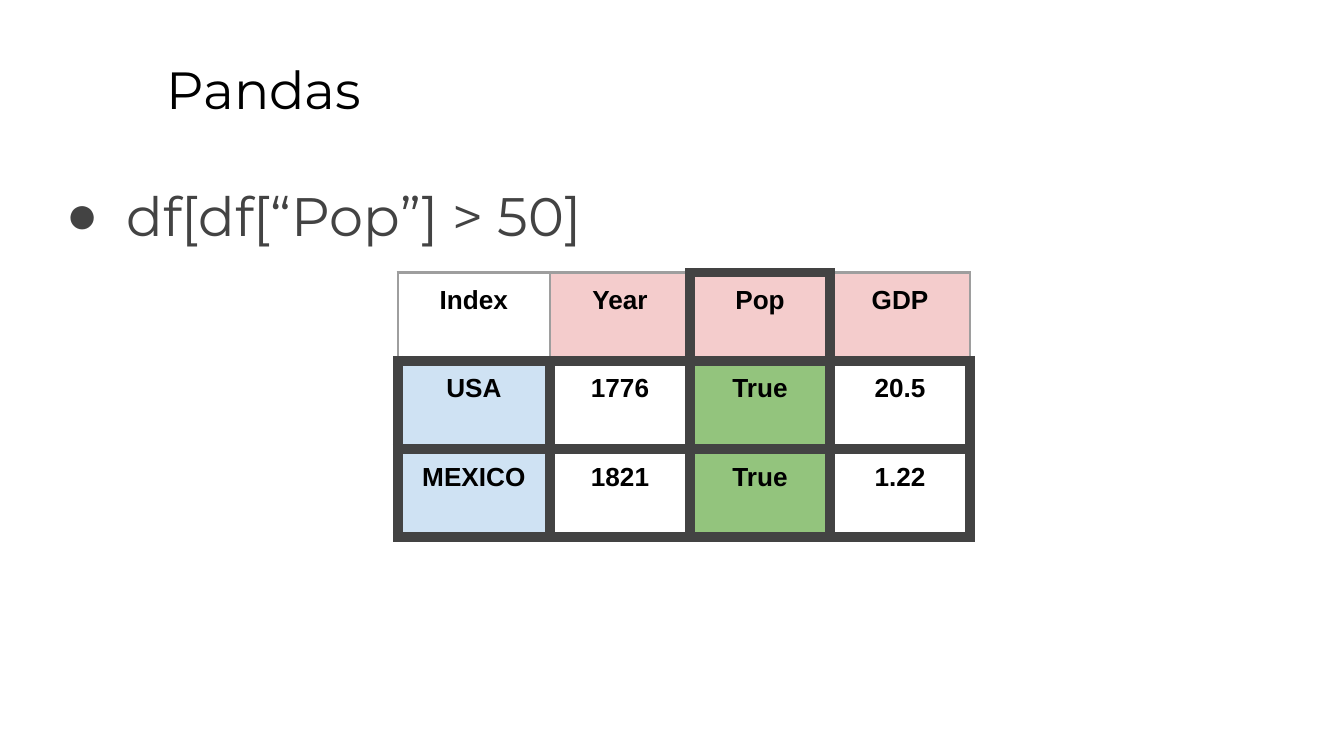
import dataclasses
from typing import Optional

import pptx
import pptx.dml.color
import pptx.enum.text
import pptx.oxml
import pptx.oxml.ns
import pptx.util

WIDTH, HEIGHT = pptx.util.Pt(720), pptx.util.Pt(405)
BLACK, GRAY, DARK = "000000", "9E9E9E", "434343"
PINK, BLUE, GREEN = "F4CCCC", "CFE2F3", "93C47D"
POP_COLUMN = 2


@dataclasses.dataclass
class Box:
    """Place and size in percent of the slide."""
    left: float
    top: float
    width: float
    height: float


@dataclasses.dataclass
class Cell:
    text: str
    fill: Optional[str] = None


TITLE_BOX = Box(11.4, 5.75, 85.2, 11.2)
BODY_BOX = Box(3.4, 22.4, 95, 66.5)
TABLE_LEFT, TABLE_TOP = 29.6, 36.05
COLUMN_SHARES = [11.33, 10.42, 10.42, 10.42]
ROW_SHARE = 11.67

ROWS = [
    [Cell("Index"), Cell("Year", PINK), Cell("Pop", PINK), Cell("GDP", PINK)],
    [Cell("USA", BLUE), Cell("1776"), Cell("True", GREEN), Cell("20.5")],
    [Cell("MEXICO", BLUE), Cell("1821"), Cell("True", GREEN), Cell("1.22")],
]


def rgb(color: str) -> pptx.dml.color.RGBColor:
    return pptx.dml.color.RGBColor.from_string(color)


def across(percent: float) -> int:
    return int(WIDTH * percent / 100)


def down(percent: float) -> int:
    return int(HEIGHT * percent / 100)


def set_all(target, values: dict) -> None:
    for name, value in values.items():
        setattr(target, name, value)


def margins(inches: float = 0.1) -> dict:
    return {f"margin_{side}": pptx.util.Inches(inches)
            for side in ("left", "top", "right", "bottom")}


def write(p, text: str, font: str, size: int, color: str, bold: bool = False) -> None:
    r = p.add_run()
    r.text = text
    set_all(r.font, {"name": font, "size": pptx.util.Pt(size), "bold": bold})
    r.font.color.rgb = rgb(color)


def fill_placeholder(sp, box: Box, text: str, size: int, color: str):
    set_all(sp, {"left": across(box.left), "top": down(box.top),
                 "width": across(box.width), "height": down(box.height)})
    tf = sp.text_frame
    set_all(tf, {**margins(), "word_wrap": True,
                 "auto_size": pptx.enum.text.MSO_AUTO_SIZE.NONE,
                 "vertical_anchor": pptx.enum.text.MSO_ANCHOR.TOP})
    p = tf.paragraphs[0]
    set_all(p, {"alignment": pptx.enum.text.PP_ALIGN.LEFT, "line_spacing": 1.0,
                "space_before": pptx.util.Pt(0)})
    write(p, text, "Montserrat", size, color)
    return p


def add_bullet(p, color: str) -> None:
    pPr = p._p.get_or_add_pPr()
    pPr.set("marL", str(pptx.util.Inches(0.5)))
    pPr.set("indent", str(pptx.util.Inches(-0.45)))
    ns = pptx.oxml.ns.nsdecls("a")
    for xml in (f'<a:buClr {ns}><a:srgbClr val="{color}"/></a:buClr>',
                f'<a:buFont {ns} typeface="Arial"/>',
                f'<a:buChar {ns} char="●"/>'):
        pPr.append(pptx.oxml.parse_xml(xml))


def is_outlined(row: int, col: int) -> bool:
    """The Pop column and every selected data row have a heavy outline."""
    inside = 0 <= row < len(ROWS) and 0 <= col < len(COLUMN_SHARES)
    return inside and (row > 0 or col == POP_COLUMN)


def add_borders(cell, row: int, col: int) -> None:
    neighbours = {"L": (row, col - 1), "R": (row, col + 1),
                  "T": (row - 1, col), "B": (row + 1, col)}
    tcPr = cell._tc.get_or_add_tcPr()
    for i, (side, neighbour) in enumerate(neighbours.items()):
        heavy = is_outlined(row, col) or is_outlined(*neighbour)
        color, width = (DARK, 6) if heavy else (GRAY, 1.5)
        tcPr.insert(i, pptx.oxml.parse_xml(
            f'<a:ln{side} {pptx.oxml.ns.nsdecls("a")} w="{pptx.util.Pt(width)}">'
            f'<a:solidFill><a:srgbClr val="{color}"/></a:solidFill></a:ln{side}>'))


def draw_cell(cell, content: Cell, row: int, col: int) -> None:
    set_all(cell, {**margins(), "vertical_anchor": pptx.enum.text.MSO_ANCHOR.TOP})
    if content.fill:
        cell.fill.solid()
        cell.fill.fore_color.rgb = rgb(content.fill)
    else:
        cell.fill.background()
    add_borders(cell, row, col)
    p = cell.text_frame.paragraphs[0]
    p.alignment = pptx.enum.text.PP_ALIGN.CENTER
    write(p, content.text, "Arial", 14, BLACK, bold=True)


def add_data_table(s) -> None:
    table = s.shapes.add_table(
        len(ROWS), len(COLUMN_SHARES), across(TABLE_LEFT), down(TABLE_TOP),
        across(sum(COLUMN_SHARES)), down(ROW_SHARE * len(ROWS))).table
    set_all(table, {"first_row": False, "horz_banding": False})
    for column, share in zip(table.columns, COLUMN_SHARES):
        column.width = across(share)
    for row, contents in enumerate(ROWS):
        table.rows[row].height = down(ROW_SHARE)
        for col, content in enumerate(contents):
            draw_cell(table.cell(row, col), content, row, col)


def main() -> None:
    prs = pptx.Presentation()
    set_all(prs, {"slide_width": WIDTH, "slide_height": HEIGHT})
    s = prs.slides.add_slide(prs.slide_layouts[1])
    fill_placeholder(s.shapes.title, TITLE_BOX, "Pandas", 28, BLACK)
    p = fill_placeholder(s.placeholders[1], BODY_BOX, "df[df[“Pop”] > 50]", 29, DARK)
    add_bullet(p, DARK)
    add_data_table(s)
    prs.save("out.pptx")


if __name__ == "__main__":
    main()
